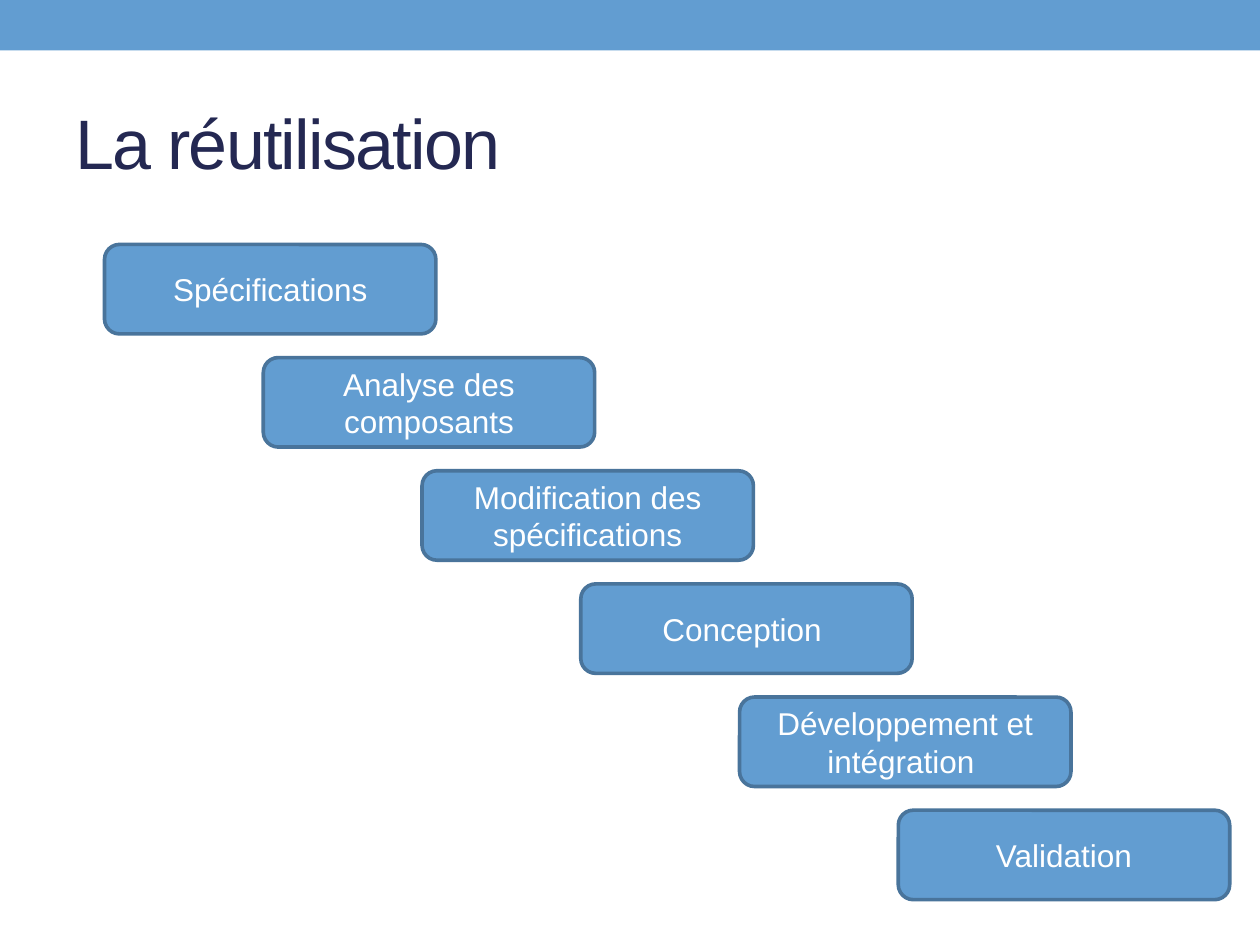
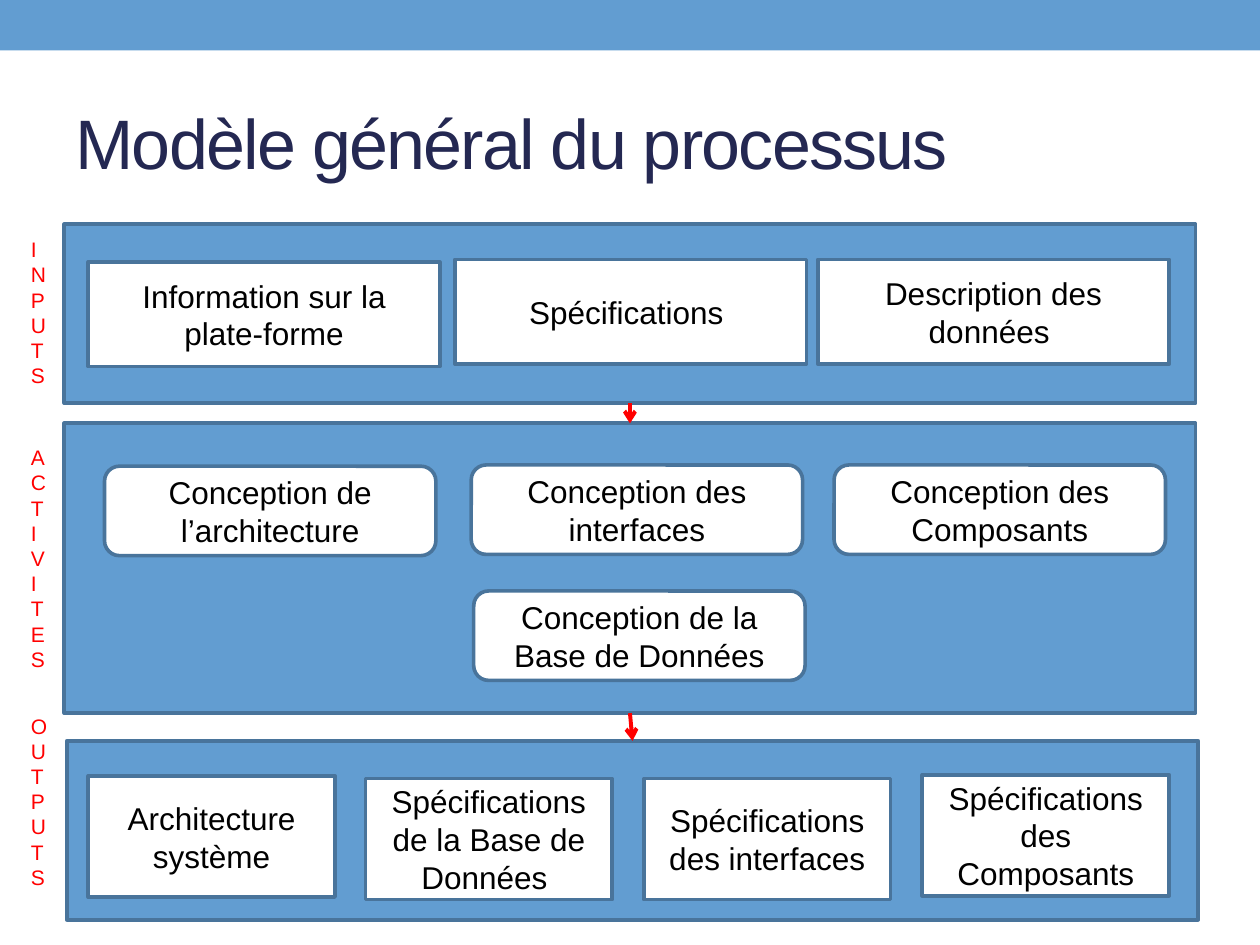
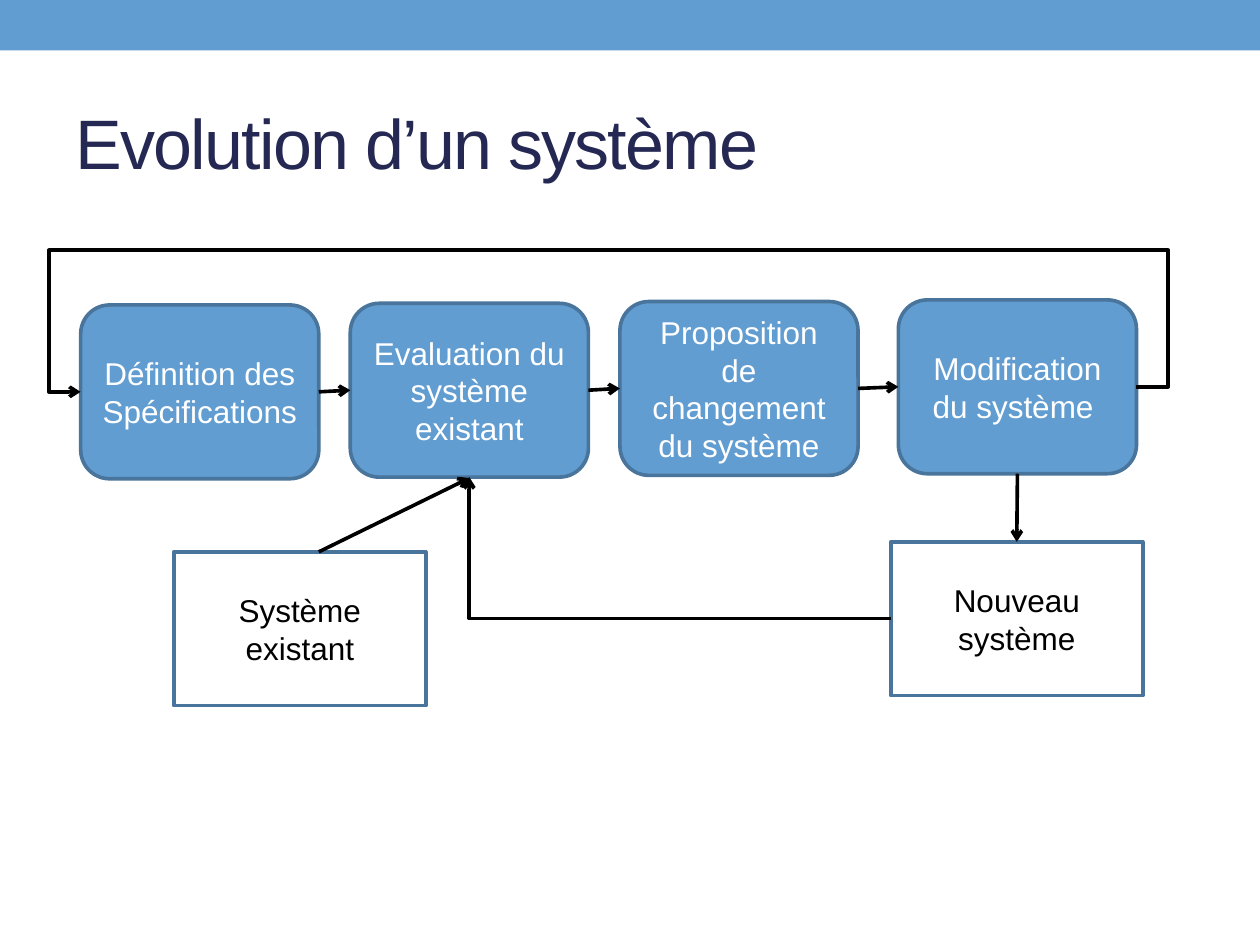
from lxml import etree
from pptx import Presentation
from pptx.dml.color import RGBColor
from pptx.enum.shapes import MSO_CONNECTOR, MSO_SHAPE
from pptx.enum.text import MSO_ANCHOR, PP_ALIGN
from pptx.oxml.ns import qn
from pptx.util import Pt

RECT = MSO_SHAPE.RECTANGLE
ROUNDED = MSO_SHAPE.ROUNDED_RECTANGLE
STRAIGHT = MSO_CONNECTOR.STRAIGHT
ELBOW = MSO_CONNECTOR.ELBOW
MIDDLE = MSO_ANCHOR.MIDDLE
TOP = MSO_ANCHOR.TOP
CENTER = PP_ALIGN.CENTER
LEFT = PP_ALIGN.LEFT

# Connection sites of rectangles
TOP_SITE, LEFT_SITE, BOTTOM_SITE, RIGHT_SITE = range(4)

COLORS = {
    "blue": "629DD1",
    "outline": "49749B",
    "title": "242852",
    "white": "FFFFFF",
    "black": "000000",
    "red": "FF0000",
}
FONT = "Arial"
SLIDE_WIDTH, SLIDE_HEIGHT = 720, 540
LINE_WIDTH = 2.08
STEP_SIZE = (189.36, 51.12)


def color(name):
    return RGBColor.from_string(COLORS[name])


class SlideBuilder:
    def __init__(self):
        self.deck = Presentation()
        self.deck.slide_width = Pt(SLIDE_WIDTH)
        self.deck.slide_height = Pt(SLIDE_HEIGHT)
        self.page = None

    def new_page(self, title):
        self.page = self.deck.slides.add_slide(self.deck.slide_layouts[6])
        self.box(RECT, 0, 0, SLIDE_WIDTH, 28.8, outline=None)
        heading = self.text_box(36, 41.76, 648, 77.76)
        self.set_text(heading, title, 40, "title", LEFT, MIDDLE)
        span = heading.text_frame.paragraphs[0].runs[0]
        span.font._element.set("spc", "-100")

    def set_text(self, shape, text, size, ink, align, anchor):
        frame = shape.text_frame
        frame.word_wrap = True
        frame.vertical_anchor = anchor
        frame.text = text
        para = frame.paragraphs[0]
        para.alignment = align
        for span in para.runs:
            span.font.name = FONT
            span.font.size = Pt(size)
            span.font.color.rgb = color(ink)

    def text_box(self, left, top, width, height):
        return self.page.shapes.add_textbox(Pt(left), Pt(top), Pt(width), Pt(height))

    def box(self, kind, left, top, width, height, text="",
            fill="blue", ink="white", outline="outline"):
        shape = self.page.shapes.add_shape(
            kind, Pt(left), Pt(top), Pt(width), Pt(height))
        shape.shadow.inherit = False
        if fill:
            shape.fill.solid()
            shape.fill.fore_color.rgb = color(fill)
        else:
            shape.fill.background()
        if outline:
            shape.line.color.rgb = color(outline)
            shape.line.width = Pt(LINE_WIDTH)
        else:
            shape.line.fill.background()
        if text:
            self.set_text(shape, text, 18, ink, CENTER, MIDDLE)
        return shape

    def vertical_label(self, top, height, text):
        """Set a word in a box so narrow that each letter takes a line."""
        label = self.text_box(14.4, top, 11.52, height)
        label.text_frame.margin_left = Pt(3.25)
        label.text_frame.margin_right = 0
        self.set_text(label, text, 12, "red", LEFT, TOP)

    def arrow(self, begin, end, ink="black", width=LINE_WIDTH, kind=STRAIGHT):
        points = [Pt(value) for value in (*begin, *end)]
        connector = self.page.shapes.add_connector(kind, *points)
        connector.line.color.rgb = color(ink)
        connector.line.width = Pt(width)
        line = connector.line._get_or_add_ln()
        etree.SubElement(line, qn("a:tailEnd"), type="arrow")
        etree.SubElement(connector._element.spPr, qn("a:effectLst"))
        return connector

    def link(self, source, source_site, target, target_site, **style):
        """Draw an arrow attached to two boxes."""
        connector = self.arrow((0, 0), (0, 0), **style)
        connector.begin_connect(source, source_site)
        connector.end_connect(target, target_site)
        return connector

    def bend(self, connector, preset, adjustments=()):
        """Give an elbow connector its preset and the ratios of its bends."""
        geometry = connector._element.spPr.find(qn("a:prstGeom"))
        geometry.set("prst", preset)
        guides = geometry.find(qn("a:avLst"))
        if guides is None:
            guides = etree.SubElement(geometry, qn("a:avLst"))
        for number, ratio in enumerate(adjustments, 1):
            etree.SubElement(guides, qn("a:gd"), name=f"adj{number}",
                             fmla=f"val {round(ratio * 100000)}")


def build_reuse(builder):
    builder.new_page("La réutilisation")
    steps = ["Spécifications", "Analyse des composants",
             "Modification des spécifications", "Conception ",
             "Développement et intégration ", "Validation"]
    for index, step in enumerate(steps):
        builder.box(ROUNDED, 59.76 + 90.72 * index, 139.68 + 64.66 * index,
                    *STEP_SIZE, step)


def build_process(builder):
    builder.new_page("Modèle général du processus")
    inputs, activities, outputs = [
        builder.box(RECT, left, top, 646.56, height)
        for left, top, height in [(36.72, 128.16, 102.24),
                                  (36.72, 241.92, 165.6),
                                  (38.16, 423.36, 102.24)]]

    groups = [
        (RECT, (200.88, 59.76), [
            (50.4, 149.76, "Information sur la plate-forme"),
            (259.92, 148.32, "Spécifications "),
            (467.28, 148.32, "Description des données ")]),
        (ROUNDED, STEP_SIZE, [
            (59.76, 266.4, "Conception de l’architecture"),
            (269.28, 265.68, "Conception des interfaces"),
            (476.64, 265.68, "Conception des Composants"),
            (270.72, 337.68, "Conception de la Base de Données")]),
        (RECT, (141.12, 69.12), [
            (50.4, 443.52, "Architecture système"),
            (208.8, 444.96, "Spécifications de la Base de Données "),
            (367.92, 444.96, "Spécifications des interfaces"),
            (527.04, 442.8, "Spécifications des Composants")]),
    ]
    for kind, size, items in groups:
        for left, top, text in items:
            builder.box(kind, left, top, *size, text, fill="white", ink="black")

    for source, target in [(inputs, activities), (activities, outputs)]:
        builder.link(source, BOTTOM_SITE, target, TOP_SITE, ink="red", width=2.25)

    for top, height, text in [(131.76, 94.32, "INPUTS"),
                              (250.56, 138.24, "ACTIVITES"),
                              (403.92, 108.72, "OUTPUTS")]:
        builder.vertical_label(top, height, text)


def build_evolution(builder):
    builder.new_page("Evolution d’un système")
    stages = [
        builder.box(ROUNDED, left, top, 136.08, 99.36, text)
        for left, top, text in [
            (46.08, 174.24, "Définition des Spécifications"),
            (200.16, 173.3, "Evaluation du système existant"),
            (354.24, 172.3, "Proposition de changement du système"),
            (513.36, 171.36, "Modification du système ")]]
    existing, new = [
        builder.box(RECT, left, top, 144, 87.84, text, fill=None, ink="black")
        for left, top, text in [(99.36, 315.36, "Système existant"),
                                (509.04, 309.6, "Nouveau système")]]

    for source, target in zip(stages, stages[1:]):
        builder.link(source, RIGHT_SITE, target, LEFT_SITE)
    definition, evaluation, _, change = stages
    builder.link(change, BOTTOM_SITE, new, TOP_SITE)

    loop = builder.link(change, RIGHT_SITE, definition, LEFT_SITE, kind=ELBOW)
    side_ratio = Pt(18) / loop.width
    rise_ratio = Pt(77.75) / loop.height
    builder.bend(loop, "bentConnector5", (-side_ratio, -rise_ratio, 1 + side_ratio))

    builder.arrow((182.16, existing.top.pt), (268.2, 273.2))
    feedback = builder.link(new, LEFT_SITE, evaluation, BOTTOM_SITE, kind=ELBOW)
    builder.bend(feedback, "bentConnector2")


def main():
    builder = SlideBuilder()
    build_reuse(builder)
    build_process(builder)
    build_evolution(builder)
    builder.deck.save("out.pptx")


if __name__ == "__main__":
    main()
